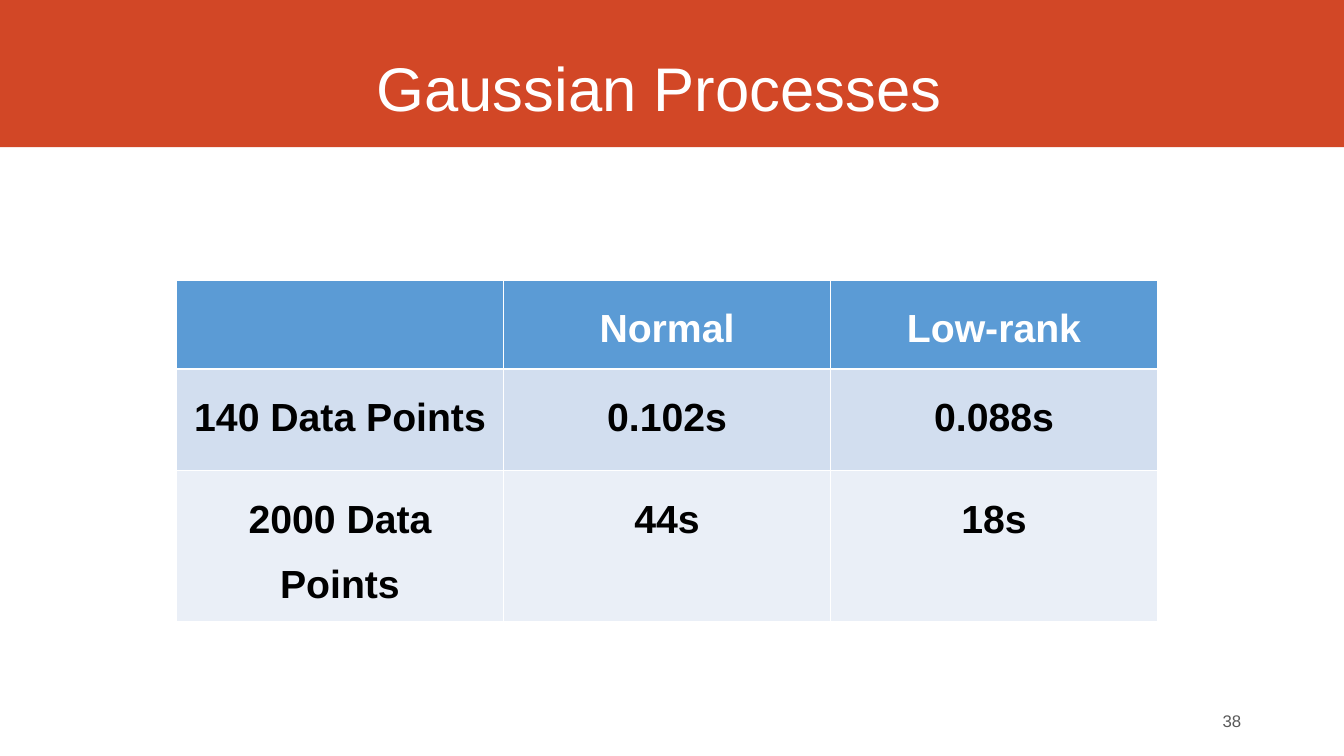
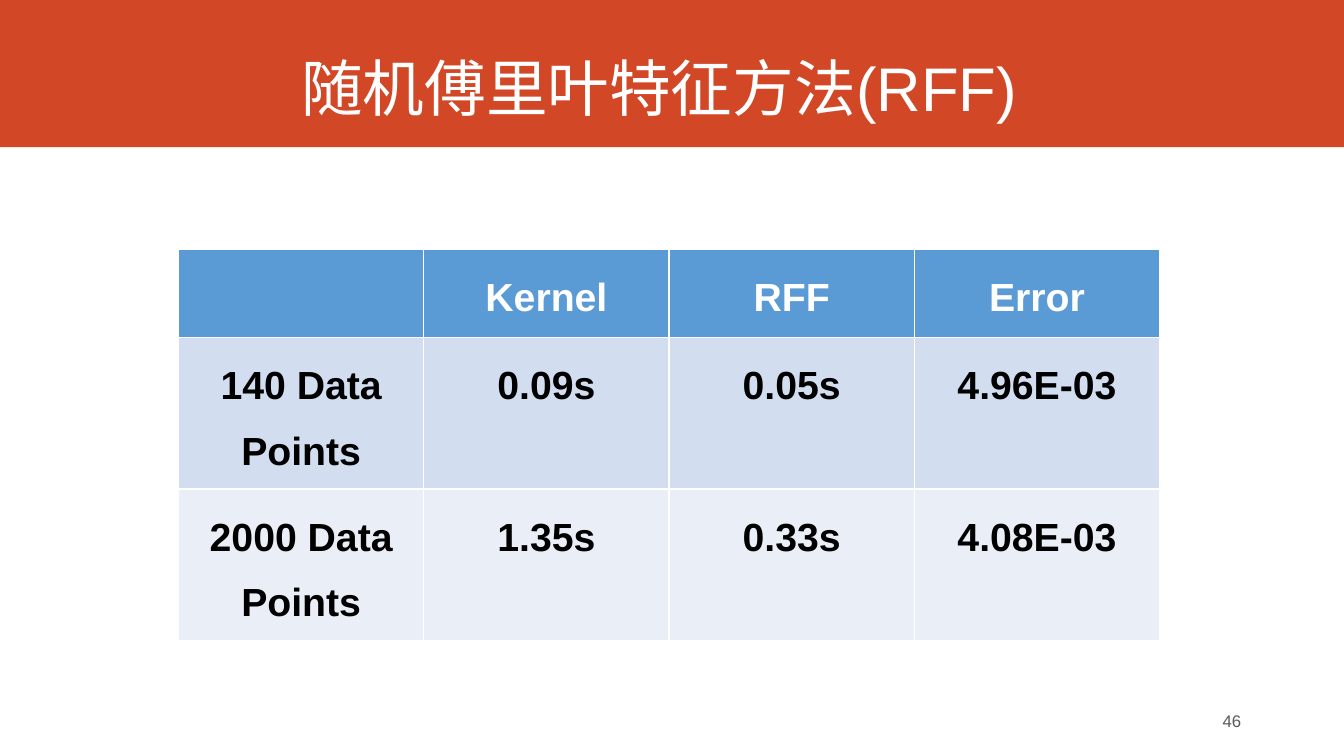
from lxml import etree
from pptx import Presentation
from pptx.dml.color import RGBColor
from pptx.enum.shapes import MSO_SHAPE
from pptx.enum.text import MSO_ANCHOR, PP_ALIGN
from pptx.oxml.ns import qn
from pptx.util import Inches, Pt

RECT = MSO_SHAPE.RECTANGLE
BOTTOM, MIDDLE = MSO_ANCHOR.BOTTOM, MSO_ANCHOR.MIDDLE
CENTER, RIGHT = PP_ALIGN.CENTER, PP_ALIGN.RIGHT

FONT = "Arial"
COLORS = {
    "band": "D24726",
    "white": "FFFFFF",
    "black": "000000",
    "number": "595959",
    "header": "5B9BD5",
    "odd": "D2DEEF",
    "even": "EAEFF7",
}
ROW_HEIGHTS = (11.73, 13.47, 16.27)
TABLE_WIDTH = 73

SLIDES = [
    {
        "title": "Gaussian Processes",
        "number": 38,
        "at": (13.13, 37.07),
        "rows": [
            ("", "Normal", "Low-rank"),
            ("140 Data Points", "0.102s", "0.088s"),
            ("2000 Data Points", "44s", "18s"),
        ],
    },
    {
        "title": "随机傅里叶特征方法(RFF)",
        "number": 46,
        "at": (13.28, 32.93),
        "rows": [
            ("", "Kernel", "RFF", "Error"),
            ("140 Data Points", "0.09s", "0.05s", "4.96E-03"),
            ("2000 Data Points", "1.35s", "0.33s", "4.08E-03"),
        ],
    },
]


def rgb(name):
    return RGBColor.from_string(COLORS[name])


def write(tf, text, size, color, align=CENTER, bold=False, spacing=None):
    p = tf.paragraphs[0]
    p.alignment = align
    p.line_spacing = spacing
    r = p.add_run()
    r.text = text
    r.font.name = FONT
    r.font.size = Pt(size)
    r.font.bold = bold
    r.font.color.rgb = rgb(color)


def set_borders(cell, color, width):
    """Draw all four sides of a cell; call before filling it."""
    tc_pr = cell._tc.get_or_add_tcPr()
    for side in ("lnL", "lnR", "lnT", "lnB"):
        ln = etree.SubElement(tc_pr, qn(f"a:{side}"), w=str(Pt(width)))
        fill = etree.SubElement(ln, qn("a:solidFill"))
        etree.SubElement(fill, qn("a:srgbClr"), val=COLORS[color])


class Deck:
    """Shared style and current slide; lengths are percent of the slide."""

    def __init__(self):
        self.prs = Presentation()
        self.prs.slide_width = Inches(13.33)
        self.prs.slide_height = Inches(7.5)
        self.s = None

    def x(self, percent):
        return round(self.prs.slide_width * percent / 100)

    def y(self, percent):
        return round(self.prs.slide_height * percent / 100)

    def box(self, left, top, width, height):
        return self.x(left), self.y(top), self.x(width), self.y(height)

    def new_slide(self, title, number):
        self.s = self.prs.slides.add_slide(self.prs.slide_layouts[6])
        self.band(0, 0, 100, 19.47)
        self.text(title, (4.95, 3.47, 88.22, 13.6), BOTTOM, size=44, color="white")
        self.text(str(number), (66.24, 92.67, 26.86, 5.33), MIDDLE,
                  size=12, color="number", align=RIGHT)

    def band(self, *place):
        sp = self.s.shapes.add_shape(RECT, *self.box(*place))
        sp.shadow.inherit = False
        sp.fill.solid()
        sp.fill.fore_color.rgb = rgb("band")
        sp.line.fill.background()

    def text(self, text, place, anchor, **style):
        tf = self.s.shapes.add_textbox(*self.box(*place)).text_frame
        tf.word_wrap = True
        tf.vertical_anchor = anchor
        write(tf, text, **style)

    def table(self, rows, left, top):
        n = len(rows[0])
        place = self.box(left, top, TABLE_WIDTH, sum(ROW_HEIGHTS))
        table = self.s.shapes.add_table(len(rows), n, *place).table
        table.horz_banding = False
        for column in table.columns:
            column.width = self.x(TABLE_WIDTH / n)
        fills = ("header", "odd", "even")
        for i, (values, height, fill) in enumerate(zip(rows, ROW_HEIGHTS, fills)):
            table.rows[i].height = self.y(height)
            for j, value in enumerate(values):
                cell = table.cell(i, j)
                set_borders(cell, "white", 1)
                cell.fill.solid()
                cell.fill.fore_color.rgb = rgb(fill)
                if value:
                    write(cell.text_frame, value, 28, "black" if i else "white",
                          bold=True, spacing=1.5)


def main():
    deck = Deck()
    for slide in SLIDES:
        deck.new_slide(slide["title"], slide["number"])
        deck.table(slide["rows"], *slide["at"])
    deck.prs.save("out.pptx")


if __name__ == "__main__":
    main()
